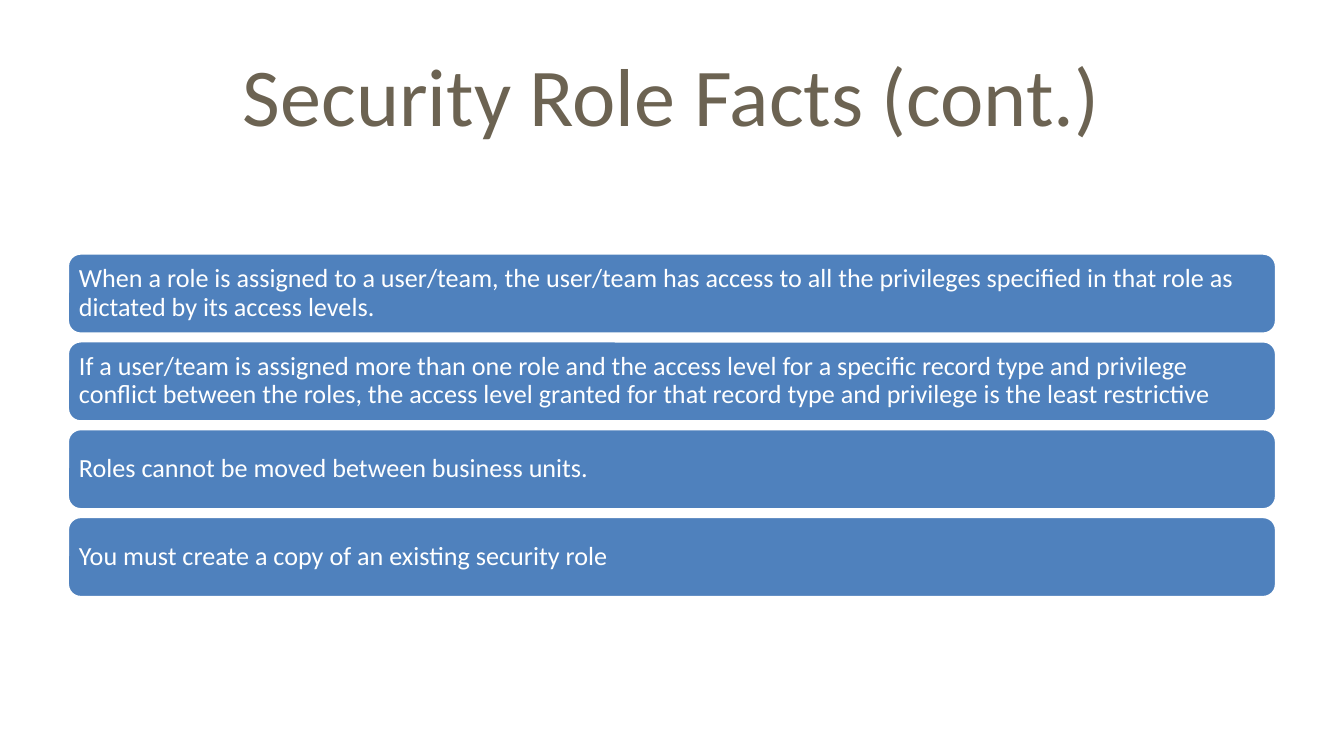
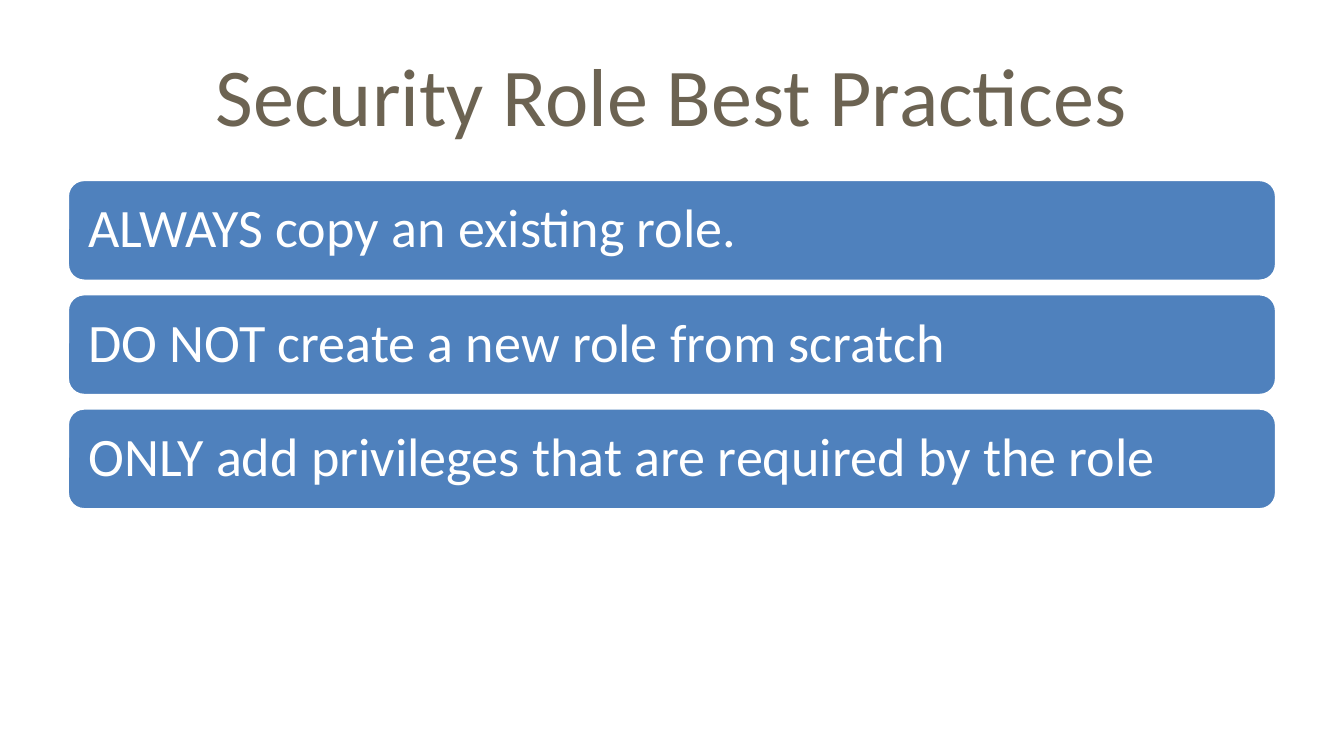
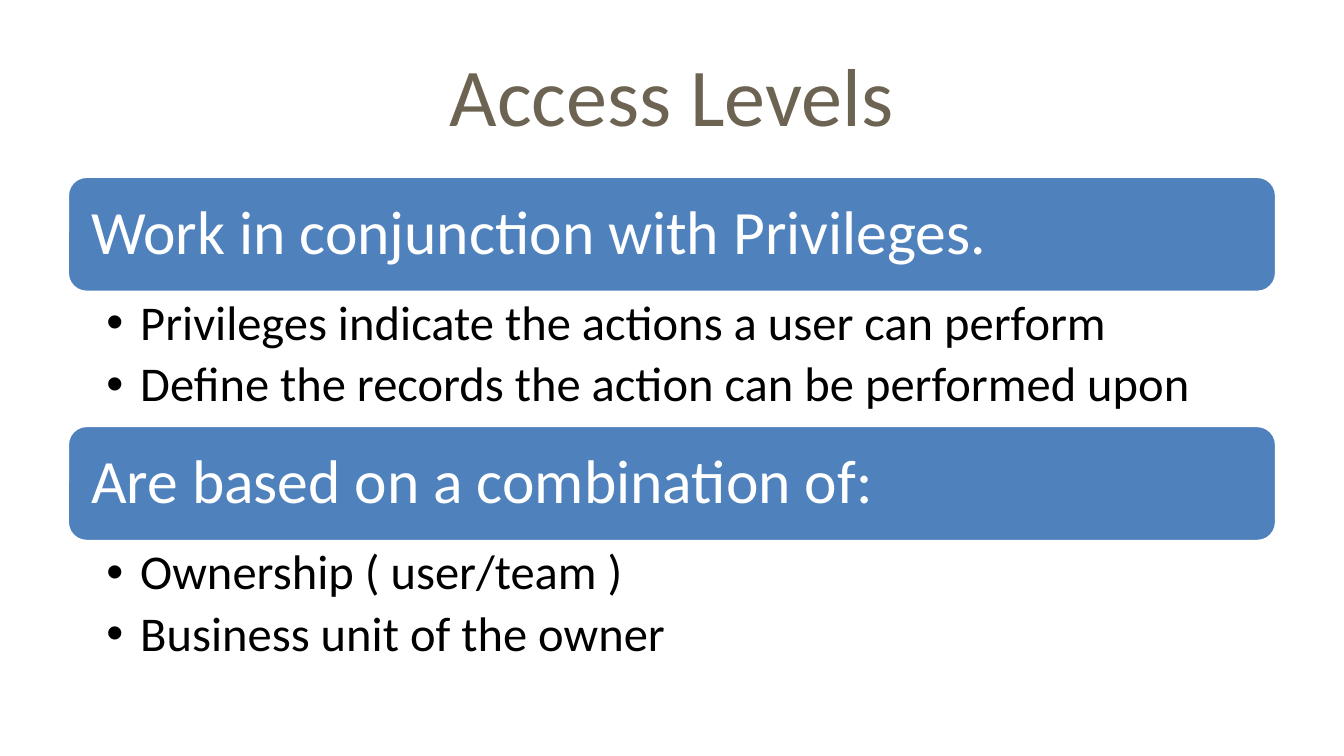
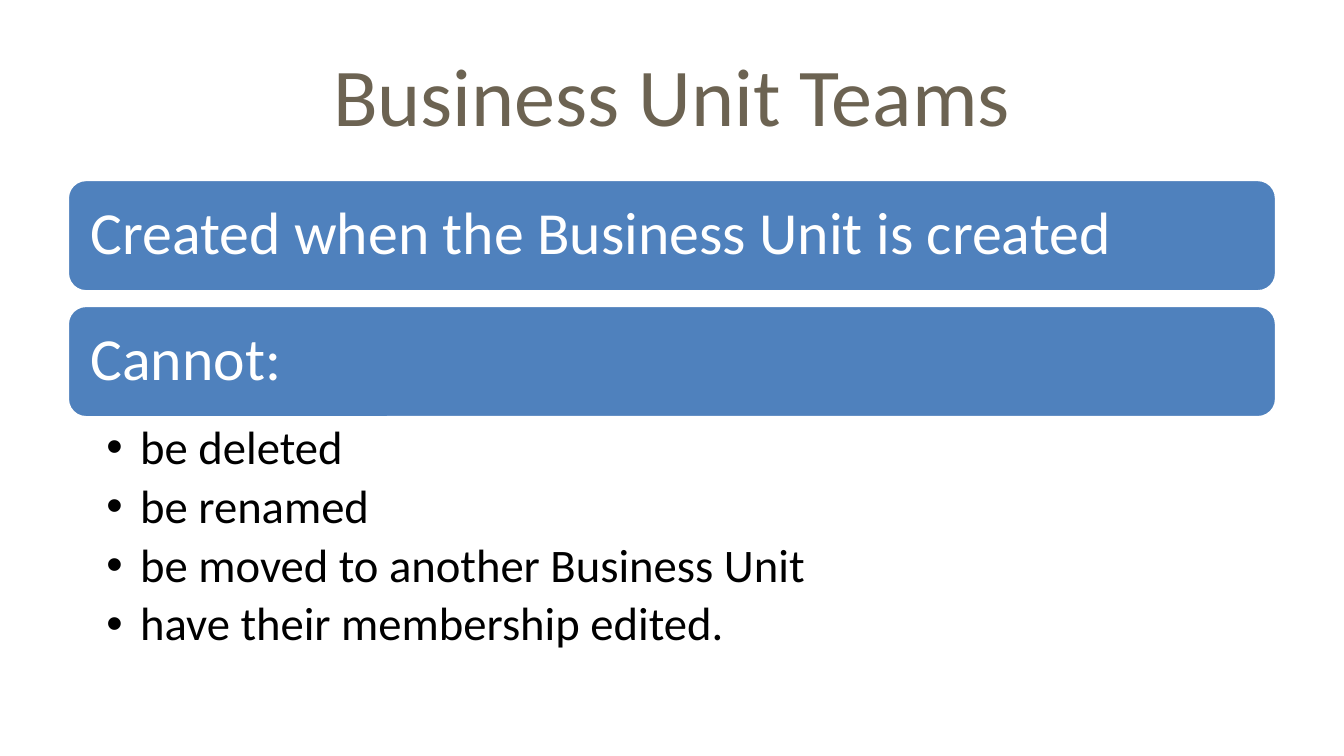
import pptx
import pptx.dml.color
import pptx.enum.shapes
import pptx.enum.text
import pptx.util
from lxml import etree

Cm = pptx.util.Cm
Pt = pptx.util.Pt
RGB = pptx.dml.color.RGBColor
Align = pptx.enum.text.PP_ALIGN
Anchor = pptx.enum.text.MSO_ANCHOR

WHITE = RGB(0xFF, 0xFF, 0xFF)
BLACK = RGB(0, 0, 0)
BLUE = RGB(0x4F, 0x81, 0xBD)
BROWN = RGB(0x6C, 0x63, 0x52)
FONT = "Calibri"
LEFT, WIDTH = Cm(1.27), Cm(22.86)
# Layouts of the default template, by the number of lists on the slide
LAYOUTS = {0: 5, 1: 1, 2: 3}


def style(para, size, color):
    para.font.name = FONT
    para.font.size = Pt(size)
    para.font.color.rgb = color


def place(shape, top, height):
    shape.left, shape.top = LEFT, Cm(top)
    shape.width, shape.height = WIDTH, Cm(height)


def pad(frame, left, top, right, bottom):
    frame.margin_left, frame.margin_top = left, top
    frame.margin_right, frame.margin_bottom = right, bottom


def set_title(slide, text):
    title = slide.shapes.title
    place(title, 0.58, 2.38)
    frame = title.text_frame
    frame.text = text
    frame.vertical_anchor = Anchor.MIDDLE
    frame.auto_size = pptx.enum.text.MSO_AUTO_SIZE.NONE
    para = frame.paragraphs[0]
    para.alignment = Align.CENTER
    style(para, 44, BROWN)


def add_bar(slide, text, top, height, size):
    bar = slide.shapes.add_shape(
        pptx.enum.shapes.MSO_SHAPE.ROUNDED_RECTANGLE,
        LEFT, Cm(top), WIDTH, Cm(height))
    bar.shadow.inherit = False
    bar.fill.solid()
    bar.fill.fore_color.rgb = BLUE
    bar.line.color.rgb = WHITE
    bar.line.width = Pt(2)
    frame = bar.text_frame
    frame.word_wrap = True
    frame.vertical_anchor = Anchor.MIDDLE
    pad(frame, *[Pt(size * 0.3)] * 4)
    frame.text = text
    para = frame.paragraphs[0]
    para.alignment = Align.LEFT
    para.line_spacing = 0.9
    style(para, size, WHITE)


def add_bullet(para):
    props = para._p.get_or_add_pPr()
    props.set("marL", str(Cm(0.64)))
    props.set("indent", str(-Cm(0.64)))
    mark = etree.SubElement(props, pptx.oxml.ns.qn("a:buChar"))
    mark.set("char", "•")


def fill_list(body, lines, top, height, size):
    place(body, top, height)
    frame = body.text_frame
    frame.text = "\n".join(lines)
    frame.word_wrap = True
    frame.auto_size = pptx.enum.text.MSO_AUTO_SIZE.NONE
    frame.vertical_anchor = Anchor.TOP
    pad(frame, Cm(0.74), Cm(0.12), Cm(0.65), Cm(0.12))
    for para in frame.paragraphs:
        add_bullet(para)
        para.level = 1
        para.alignment = Align.LEFT
        para.line_spacing = 0.9
        para.space_before = Pt(0)
        para.space_after = Pt(round(size * 0.18, 1))
        style(para, size, BLACK)


def add_stack(deck, title, items, top, bar, gap, size, sub=0, depth=0):
    """Add a slide of bars, each followed by its list or by a gap.

    sub is the text size of the lists and depth their height.
    """
    count = sum(bool(lines) for _, lines in items)
    slide = deck.slides.add_slide(deck.slide_layouts[LAYOUTS[count]])
    set_title(slide, title)
    bodies = iter(list(slide.placeholders)[1:])
    for text, lines in items:
        add_bar(slide, text, top, bar, size)
        top += bar
        if lines:
            fill_list(next(bodies), lines, top, depth, sub)
            top += depth
        else:
            top += gap


def main():
    deck = pptx.Presentation()
    deck.slide_width, deck.slide_height = Cm(25.4), Cm(14.29)

    add_stack(deck, "Security Role Facts (cont.)", [
        ("When a role is assigned to a user/team, the user/team has access "
         "to all the privileges specified in that role as dictated by its "
         "access levels.", []),
        ("If a user/team is assigned more than one role and the access level "
         "for a specific record type and privilege conflict between the "
         "roles, the access level granted for that record type and privilege "
         "is the least restrictive", []),
        ("Roles cannot be moved between business units.", []),
        ("You must create a copy of an existing security role", []),
    ], top=4.78, bar=1.54, gap=0.12, size=14)

    add_stack(deck, "Security Role Best Practices", [
        ("ALWAYS copy an existing role.", []),
        ("DO NOT create a new role from scratch", []),
        ("ONLY add privileges that are required by the role", []),
    ], top=3.39, bar=1.93, gap=0.23, size=29)

    add_stack(deck, "Access Levels", [
        ("Work in conjunction with Privileges.", [
            "Privileges indicate the actions a user can perform",
            "Define the records the action can be performed upon"]),
        ("Are based on a combination of:", [
            "Ownership ( user/team )",
            "Business unit of the owner"]),
    ], top=3.33, bar=2.2, gap=0, size=33, sub=26, depth=2.51)

    add_stack(deck, "Business Unit Teams", [
        ("Created when the Business Unit is created", []),
        ("Cannot:", [
            "be deleted",
            "be renamed",
            "be moved to another Business Unit",
            "have their membership edited."]),
    ], top=3.39, bar=2.13, gap=0.25, size=32, sub=25, depth=4.78)

    deck.save("out.pptx")


if __name__ == "__main__":
    main()
